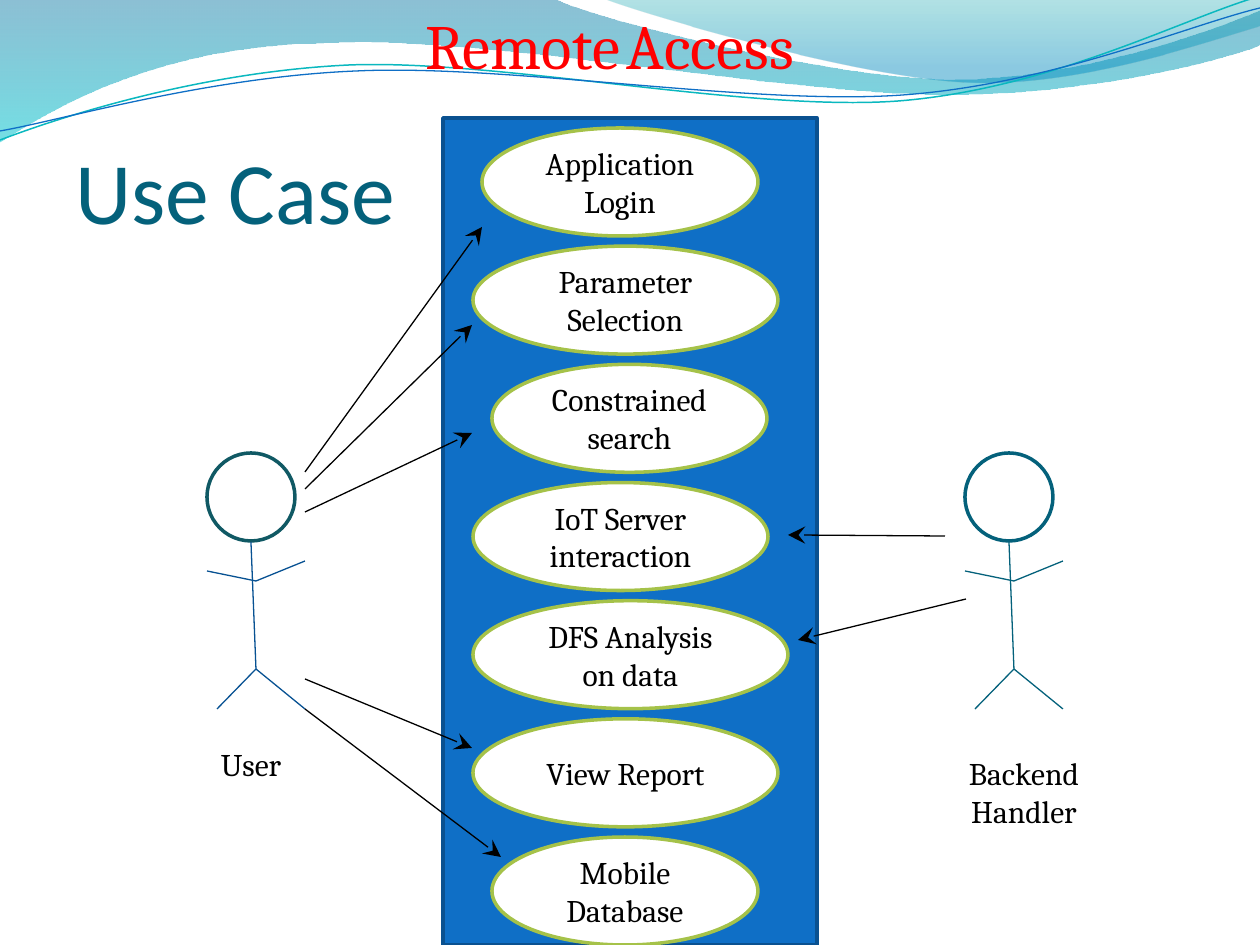
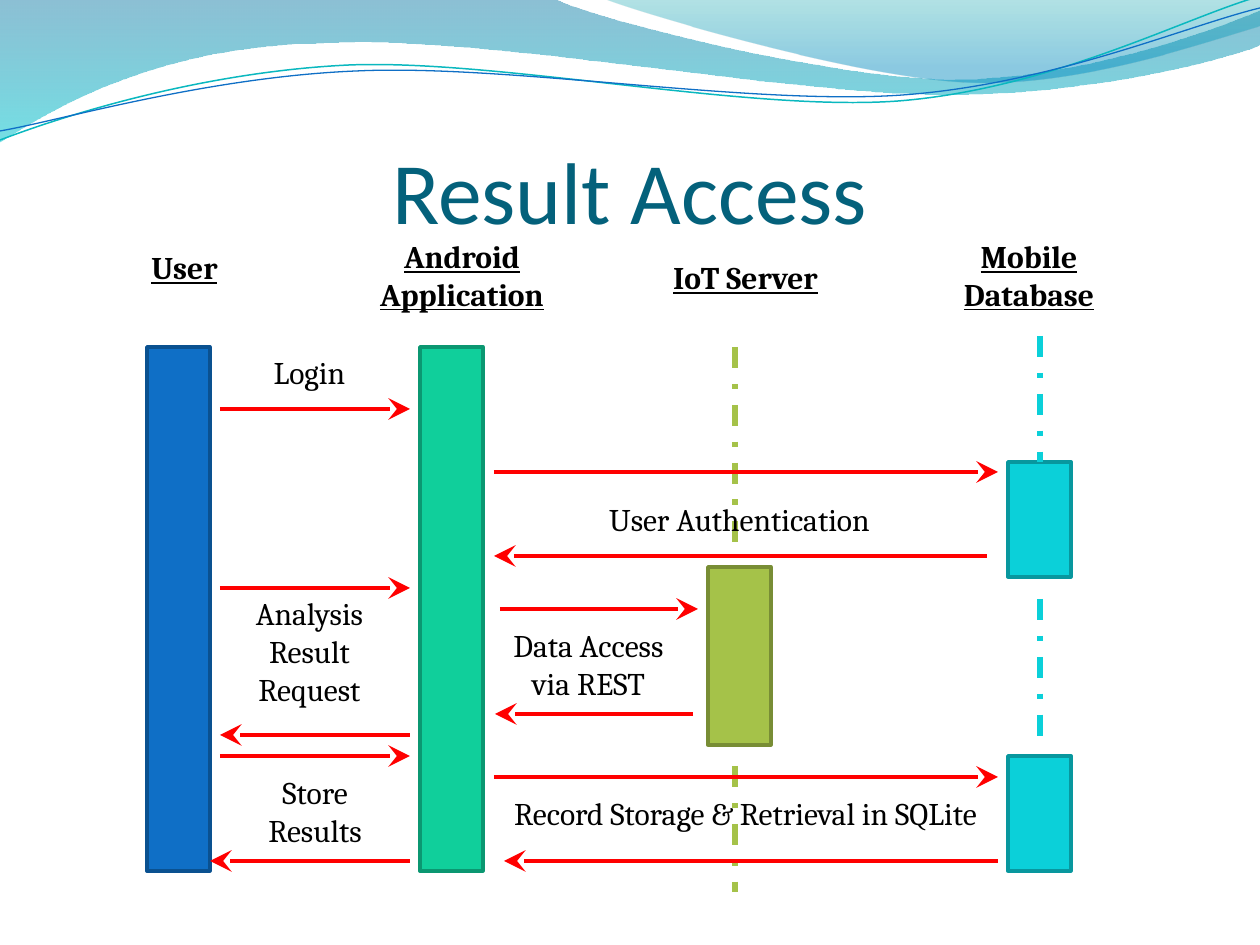
from lxml import etree
from pptx import Presentation
from pptx.dml.color import RGBColor
from pptx.enum.dml import MSO_LINE
from pptx.enum.shapes import MSO_CONNECTOR, MSO_SHAPE
from pptx.enum.text import MSO_ANCHOR, PP_ALIGN
from pptx.oxml.ns import qn
from pptx.util import Pt

EMU_PER_PX = 914400 / 126
SLIDE_WIDTH, SLIDE_HEIGHT = 1260, 945
BLANK = 6
BODY_FONT, TITLE_FONT = "Cambria", "Calibri"

LEFT, CENTER = PP_ALIGN.LEFT, PP_ALIGN.CENTER
TOP, MIDDLE, BOTTOM = MSO_ANCHOR.TOP, MSO_ANCHOR.MIDDLE, MSO_ANCHOR.BOTTOM
RECTANGLE, OVAL = MSO_SHAPE.RECTANGLE, MSO_SHAPE.OVAL
HEAD = MSO_SHAPE.FLOWCHART_CONNECTOR
STRAIGHT = MSO_CONNECTOR.STRAIGHT
DASH_DOT = MSO_LINE.DASH_DOT

BLACK = RGBColor(0x00, 0x00, 0x00)
WHITE = RGBColor(0xFF, 0xFF, 0xFF)
RED = RGBColor(0xFF, 0x00, 0x00)
PETROL = RGBColor(0x04, 0x61, 0x7B)
DARK_PETROL = RGBColor(0x10, 0x59, 0x64)
BLUE = RGBColor(0x0F, 0x6F, 0xC6)
DARK_BLUE = RGBColor(0x0A, 0x51, 0x90)
LIMB_BLUE = RGBColor(0x07, 0x51, 0x92)
GREEN = RGBColor(0x10, 0xCF, 0x9B)
DARK_GREEN = RGBColor(0x0B, 0x97, 0x71)
LIME = RGBColor(0xA5, 0xC2, 0x49)
DARK_LIME = RGBColor(0x78, 0x8D, 0x35)
CYAN = RGBColor(0x0B, 0xD0, 0xD9)
DARK_CYAN = RGBColor(0x08, 0x97, 0x9E)
WAVE_TEAL = RGBColor(0x0A, 0xB8, 0xBF)

# Each step of a path lists its points: one for a line, three for a cubic curve.
BACK_WAVE = [
    [(0, 0)], [(554, -1)],
    [(600, 21), (837, 79), (955, 79)], [(1075, 79), (1207, 33), (1260, 11)],
    [(1261, 45)],
    [(1239, 55), (1096, 96), (940, 94)], [(783, 94), (481, 35), (324, 43)],
    [(163, 45), (58, 105), (-1, 142)],
]
FRONT_WAVE = [
    [(604, -1)],
    [(641, 14), (859, 78), (969, 82)], [(1079, 87), (1211, 40), (1260, 26)],
    [(1260, 0)],
]
TEAL_LINE = [
    [(0, 140)],
    [(60, 117), (199, 72), (349, 65)], [(498, 59), (747, 112), (898, 101)],
    [(1050, 89), (1182, 19), (1257, -3)],
]
BLUE_LINE = [
    [(0, 131)],
    [(59, 121), (207, 77), (357, 71)], [(508, 64), (752, 106), (903, 95)],
    [(1053, 84), (1186, 26), (1260, 8)],
]
# Gradient stops: position, colour, opacity in percent.
BACK_STOPS = [(0, RGBColor(0x00, 0x74, 0xA1), 45), (1, RGBColor(0x00, 0xC6, 0xCF), 55)]
FRONT_STOPS = [(0, RGBColor(0x00, 0xA1, 0xA9), 30), (0.8, RGBColor(0x00, 0x8B, 0xBF), 45)]


def px(length):
    return round(length * EMU_PER_PX)


def add_outline(slide, path, close):
    """Add a freeform through the step ends, then bend its curved steps."""
    start, *ends = [tuple(map(px, step[-1])) for step in path]
    builder = slide.shapes.build_freeform(*start)
    builder.add_line_segments(ends, close=close)
    outline = builder.convert_to_shape()
    outline.shadow.inherit = False
    segments = list(outline.element.spPr.iter(qn("a:lnTo")))
    for segment, step in zip(segments, path[1:]):
        if len(step) == 1:
            continue
        curve = etree.Element(qn("a:cubicBezTo"))
        for x, y in step:
            etree.SubElement(curve, qn("a:pt"), x=str(px(x) - outline.left),
                             y=str(px(y) - outline.top))
        segment.getparent().replace(segment, curve)
    return outline


def add_wave(slide, path, stops):
    wave = add_outline(slide, path, close=True)
    wave.line.fill.background()
    wave.fill.gradient()
    wave.fill.gradient_angle = 270
    for stop, (position, color, _) in zip(wave.fill.gradient_stops, stops):
        stop.position = position
        stop.color.rgb = color
    colors = wave.element.spPr.find(qn("a:gradFill")).iter(qn("a:srgbClr"))
    for color, (_, _, opacity) in zip(colors, stops):
        etree.SubElement(color, qn("a:alpha"), val=str(opacity * 1000))
    return wave


def add_wave_line(slide, path, color, width):
    curve = add_outline(slide, path, close=False)
    curve.fill.background()
    curve.line.color.rgb = color
    curve.line.width = Pt(width)
    return curve


def move_waves_to_layout(slide):
    """Draw the waves once and hand them to the layout that all slides share."""
    waves = [
        add_wave(slide, BACK_WAVE, BACK_STOPS),
        add_wave(slide, FRONT_WAVE, FRONT_STOPS),
        add_wave_line(slide, TEAL_LINE, WAVE_TEAL, 0.85),
        add_wave_line(slide, BLUE_LINE, BLUE, 0.75),
    ]
    for wave in waves:
        slide.slide_layout.shapes.element.append(wave.element)


def write(shape, text, size=18, font=BODY_FONT, color=BLACK, align=CENTER,
          anchor=TOP, heading=False):
    frame = shape.text_frame
    frame.word_wrap = True
    frame.vertical_anchor = anchor
    para = frame.paragraphs[0]
    para.text = text
    para.alignment = align
    para.font.size = Pt(size)
    para.font.name = font
    para.font.color.rgb = color
    if heading:
        para.font.bold = para.font.underline = True


def add_box(slide, left, top, width, height):
    return slide.shapes.add_textbox(px(left), px(top), px(width), px(height))


def add_label(slide, text, left, top, width, lines=1, heading=False):
    box = add_box(slide, left, top, width, 12 + 38 * lines)
    write(box, text, heading=heading)


def add_block(slide, kind, left, top, width, height, fill, line):
    block = slide.shapes.add_shape(kind, px(left), px(top), px(width), px(height))
    block.shadow.inherit = False
    block.fill.solid()
    block.fill.fore_color.rgb = fill
    block.line.color.rgb = line
    block.line.width = Pt(2)
    return block


def add_line(slide, start, end, color, width=0.75, dash=None, arrow=False):
    line = slide.shapes.add_connector(STRAIGHT, *map(px, (*start, *end)))
    line.line.color.rgb = color
    line.line.width = Pt(width)
    if dash:
        line.line.dash_style = dash
    properties = line.element.spPr
    if arrow:
        etree.SubElement(properties.find(qn("a:ln")), qn("a:tailEnd"),
                         type="stealth", w="lg", len="lg")
    etree.SubElement(properties, qn("a:effectLst"))


def add_actor(slide, left, top, head_color, limb_color):
    add_block(slide, HEAD, left, top, 88, 88, WHITE, head_color)
    neck, shoulder, hip = (44, 89), (49, 128), (49, 216)
    limbs = [(neck, hip), (shoulder, (0, 118)), (shoulder, (98, 108)),
             (hip, (98, 256)), (hip, (10, 256))]
    for start, end in limbs:
        add_line(slide, (left + start[0], top + start[1]),
                 (left + end[0], top + end[1]), limb_color)


def add_title(slide, title, align):
    box = add_box(slide, 63, 97, 1134, 158)
    write(box, title, 50, TITLE_FONT, PETROL, align, BOTTOM)
    box.text_frame.margin_bottom = px(13)


def add_banner(slide):
    box = add_box(slide, 413, 0, 433, 89)
    box.text_frame.word_wrap = True
    para = box.text_frame.paragraphs[0]
    para.font.name = BODY_FONT
    para.font.color.rgb = RED
    for text, size in [("Remote", 36), (" ", 18), ("Access", 36)]:
        span = para.add_run()
        span.text = text
        span.font.size = Pt(size)


def build_use_case(slide):
    add_title(slide, "Use Case", LEFT)
    add_block(slide, RECTANGLE, 443, 118, 374, 827, BLUE, DARK_BLUE)
    add_actor(slide, 965, 453, PETROL, PETROL)
    add_actor(slide, 207, 453, DARK_PETROL, LIMB_BLUE)

    use_cases = [
        ("Application Login", 482, 276),
        ("Parameter Selection", 473, 305),
        ("Constrained search", 492, 275),
        ("IoT Server interaction", 473, 295),
        ("DFS Analysis on data", 473, 315),
        ("View Report", 473, 305),
        ("Mobile Database", 492, 266),
    ]
    first_top, last_top = 128, 837
    step = (last_top - first_top) / (len(use_cases) - 1)
    for row, (text, left, width) in enumerate(use_cases):
        top = first_top + step * row
        oval = add_block(slide, OVAL, left, top, width, 108, WHITE, LIME)
        write(oval, text, anchor=MIDDLE)

    add_banner(slide)
    arrows = [
        ((966, 599), (798, 640)), ((945, 536), (788, 535)),
        ((305, 472), (482, 227)), ((305, 489), (472, 325)),
        ((305, 512), (472, 433)), ((305, 679), (472, 748)),
        ((305, 709), (501, 857)),
    ]
    for start, end in arrows:
        add_line(slide, start, end, BLACK, arrow=True)
    add_label(slide, "User", 197, 739, 108)
    add_label(slide, "Backend Handler", 935, 748, 178, lines=2)


def build_result_access(slide):
    add_title(slide, "Result Access", CENTER)
    bars = [
        (147, 347, 524, BLUE, DARK_BLUE),
        (420, 347, 524, GREEN, DARK_GREEN),
        (708, 567, 178, LIME, DARK_LIME),
        (1008, 462, 115, CYAN, DARK_CYAN),
        (1008, 756, 115, CYAN, DARK_CYAN),
    ]
    for left, top, height, fill, line in bars:
        add_block(slide, RECTANGLE, left, top, 63, height, fill, line)

    headings = [
        ("User", 95, 242, 179, 1),
        ("Android Application", 357, 231, 210, 2),
        ("IoT Server", 651, 252, 189, 1),
        ("Mobile Database", 945, 231, 168, 2),
    ]
    for heading in headings:
        add_label(slide, *heading, heading=True)

    lifelines = [(735, 347, 546, LIME), (735, 766, 892, LIME),
                 (1040, 336, 462, CYAN), (1040, 599, 737, CYAN)]
    for x, top, bottom, color in lifelines:
        add_line(slide, (x, top), (x, bottom), color, 3, DASH_DOT)

    messages = [
        (220, 410, 409), (494, 998, 472), (500, 698, 609), (220, 410, 756),
        (220, 410, 588), (494, 998, 777), (987, 494, 556), (998, 504, 861),
        (693, 495, 714), (410, 210, 861), (410, 220, 735),
    ]
    for start, end, y in messages:
        add_line(slide, (start, y), (end, y), RED, 2.5, arrow=True)

    labels = [
        ("Login", 220, 347, 179, 1),
        ("User Authentication", 514, 494, 451, 1),
        ("Analysis Result Request", 220, 588, 179, 3),
        ("Data Access via REST", 494, 620, 189, 2),
        ("Record Storage & Retrieval in SQLite", 483, 788, 525, 1),
        ("Store Results", 231, 767, 168, 2),
    ]
    for label in labels:
        add_label(slide, *label)


def main():
    deck = Presentation()
    deck.slide_width, deck.slide_height = px(SLIDE_WIDTH), px(SLIDE_HEIGHT)
    layout = deck.slide_layouts[BLANK]
    use_case, result_access = [deck.slides.add_slide(layout) for _ in range(2)]
    move_waves_to_layout(use_case)
    build_use_case(use_case)
    build_result_access(result_access)
    deck.save("out.pptx")


if __name__ == "__main__":
    main()
